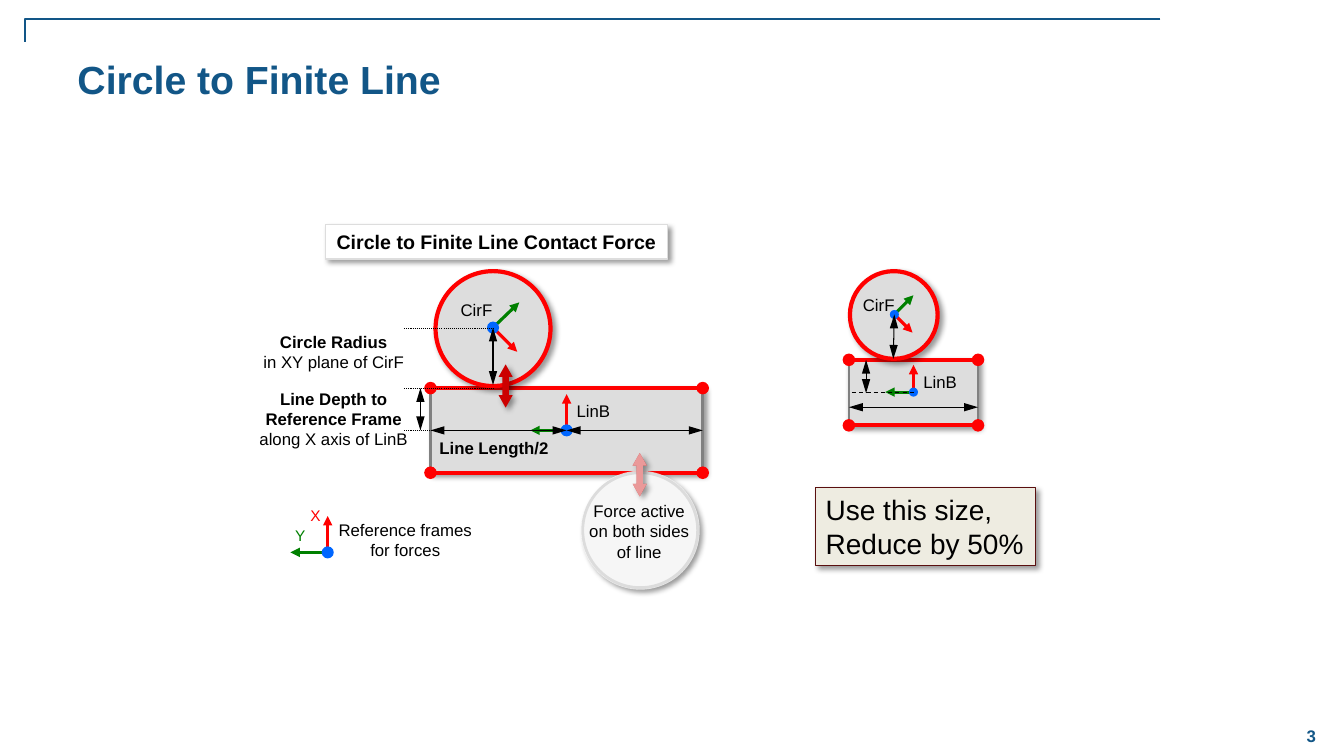
from pptx import Presentation
from pptx.dml.color import RGBColor
from pptx.enum.dml import MSO_LINE
from pptx.enum.shapes import MSO_CONNECTOR, MSO_SHAPE
from pptx.enum.text import MSO_ANCHOR, PP_ALIGN
from pptx.oxml import parse_xml
from pptx.oxml.ns import nsdecls, qn
from pptx.util import Emu, Pt

PX = 9144  # 100 px to the inch
WIDE, HIGH = 1333, 750
FACE = "Arial"

NAVY = RGBColor(0x12, 0x56, 0x87)
BLACK = RGBColor(0, 0, 0)
WHITE = RGBColor(255, 255, 255)
SILVER = RGBColor(0xDD, 0xDD, 0xDD)
GREY = RGBColor(0x80, 0x80, 0x80)
DIM = RGBColor(0x77, 0x77, 0x77)
RED = RGBColor(255, 0, 0)
DEEP = RGBColor(0xCC, 0, 0)
GREEN = RGBColor(0, 0x80, 0)
BLUE = RGBColor(0, 0x66, 255)
CREAM = RGBColor(0xEE, 0xEC, 0xE1)
MAROON = RGBColor(0x5A, 0x0F, 0x0F)

RECT, OVAL, ARROW = MSO_SHAPE.RECTANGLE, MSO_SHAPE.OVAL, MSO_SHAPE.LEFT_RIGHT_ARROW
STRAIGHT = MSO_CONNECTOR.STRAIGHT
DOT, DASH = MSO_LINE.ROUND_DOT, MSO_LINE.DASH
LEFT, MID = PP_ALIGN.LEFT, PP_ALIGN.CENTER
TOP, CENTER = MSO_ANCHOR.TOP, MSO_ANCHOR.MIDDLE

# Content: bars are (left, top, width, height), points are (x, y)
CORNER = [(1151, 19), (25, 19), (25, 42)]
LARGE = {
    "bar": (427, 385, 270, 84),
    "frame": ((562, 427), (562, 391), (526, 427), 6),
    "spans": [((697, 427), (562, 427)), ((427, 427), (562, 427))],
    "disc": (432, 269, 114),
    "push": (480, 376),
    "axes": ((489, 325), (513, 349), (515, 300), 6),
    "sizes": [((489, 325), (489, 382)), ((417, 427), (417, 385))],
}
SMALL = {
    "bar": (842, 357, 128, 65),
    "frame": ((906, 389), (906, 362), (878, 389), 4.5),
    "spans": [((842, 404), (970, 404))],
    "disc": (843, 269, 87),
    "push": None,
    "axes": ((887, 312), (905, 330), (906, 293), 4.5),
    "sizes": [((887, 312), (886, 356)), ((859, 390), (859, 357))],
}
KEY = ((325, 548), (325, 512), (288, 548), 6)
GUIDES = [326, 385, 427]

# Labels: box, lines, count of bold lines, then format values
LABELS = [
    ((244, 380, 174, 71), ["Line Depth to", "Reference Frame", "along X axis of LinB"], 2,
     {"align": MID, "anchor": CENTER}),
    ((426, 429, 130, 30), ["Line Length/2"], 1, {}),
    ((325, 511, 154, 50), ["Reference frames", "for forces"], 0, {"align": MID}),
    ((574, 492, 120, 71), ["Force active", "on both sides", "of line"], 0, {"align": MID}),
    ((562, 393, 54, 30), ["LinB"], 0, {}),
    ((447, 292, 52, 30), ["CirF"], 0, {}),
    ((298, 497, 31, 29), ["X"], 0, {"size": 11, "color": RED}),
    ((283, 517, 27, 29), ["Y"], 0, {"size": 11, "color": GREEN}),
    ((251, 324, 160, 50), ["Circle Radius", "in XY plane of CirF"], 1,
     {"align": MID, "anchor": CENTER}),
    ((906, 364, 54, 30), ["LinB"], 0, {}),
    ((846, 287, 52, 30), ["CirF"], 0, {}),
    ((67, 50, 1178, 108), ["Circle to Finite Line"], 1, {"size": 28, "color": NAVY}),
    ((1267, 709, 67, 42), ["3"], 1, {"color": NAVY, "align": MID, "anchor": CENTER}),
]
CARDS = [
    ((323, 223, 339, 34), WHITE, SILVER, ["Circle to Finite Line Contact Force"], 1,
     {"size": 14, "align": MID}),
    ((809, 484, 218, 77), CREAM, MAROON, ["Use this size,", "Reduce by 50%"], 0, {"size": 20}),
]

deck = Presentation()
deck.slide_width, deck.slide_height = Emu(WIDE * PX), Emu(HIGH * PX)
slide = deck.slides.add_slide(deck.slide_layouts[6])
root = slide.shapes


def emu(nums):
    return [Emu(round(n * PX)) for n in nums]


def write(shape, lines, bolds, size=12, color=BLACK, align=LEFT, anchor=TOP):
    text = shape.text_frame
    for name, value in {"word_wrap": False, "vertical_anchor": anchor}.items():
        setattr(text, name, value)
    para = text.paragraphs[0]
    para.alignment = align
    for i, line in enumerate(lines):
        if i:
            para.add_line_break()
        run = para.add_run()
        run.text = line
        for name, value in {"name": FACE, "size": Pt(size), "bold": i < bolds}.items():
            setattr(run.font, name, value)
        run.font.color.rgb = color


def draw(kind, box, fill, edge=None, width=0.75, shade=False, alpha=None, home=root):
    shape = home.add_shape(kind, *emu(box))
    shape.shadow.inherit = False
    shape.fill.solid()
    shape.fill.fore_color.rgb = fill
    props = shape._element.spPr
    if alpha:
        tint = parse_xml(f'<a:alpha {nsdecls("a")} val="{alpha * 1000}"/>')
        props.find(".//" + qn("a:srgbClr")).append(tint)
    if edge is None:
        shape.line.fill.background()
    else:
        shape.line.color.rgb = edge
        shape.line.width = Pt(width)
    if shade:
        props.find(qn("a:effectLst")).append(parse_xml(
            f'<a:outerShdw {nsdecls("a")} blurRad="{Pt(4)}" dist="{Pt(3)}" dir="2700000" '
            'algn="tl" rotWithShape="0"><a:srgbClr val="000000"><a:alpha val="40000"/>'
            '</a:srgbClr></a:outerShdw>'))
    return shape


def link(start, end, color=BLACK, width=0.75, head=None, tail=None, dash=None,
         long="med", home=root):
    line = home.add_connector(STRAIGHT, *emu(start + end))
    line.line.color.rgb = color
    line.line.width = Pt(width)
    if dash:
        line.line.dash_style = dash
    props = line._element.spPr
    for tag, kind in (("headEnd", head), ("tailEnd", tail)):
        if kind:
            props.get_or_add_ln().append(parse_xml(
                f'<a:{tag} {nsdecls("a")} type="{kind}" w="med" len="{long}"/>'))
    props.append(parse_xml(f'<a:effectLst {nsdecls("a")}/>'))


def span(start, end):
    link(start, end, head="triangle", tail="triangle", long="lg")


def frame(mid, xtip, ytip, rad):
    home = root.add_group_shape().shapes
    for tip, color in ((xtip, RED), (ytip, GREEN)):
        link(mid, tip, color, 2.25, tail="triangle", home=home)
    draw(OVAL, (mid[0] - rad, mid[1] - rad, 2 * rad, 2 * rad), BLUE, home=home)


def push(left, top, fill=DEEP, **look):
    shape = draw(ARROW, (left, top, 43, 14), fill, **look)
    shape.rotation = 90
    shape.adjustments[0], shape.adjustments[1] = 0.45, 0.89


def model(part):
    left, top, wide, high = part["bar"]
    draw(RECT, part["bar"], SILVER, GREY, 2, shade=True)
    frame(*part["frame"])
    for ends in part["spans"]:
        span(*ends)
    for y in (top, top + high):
        link((left, y), (left + wide, y), RED, 3, head="oval", tail="oval")
    x, y, size = part["disc"]
    draw(OVAL, (x, y, size, size), SILVER, RED, 3, shade=True)
    if part["push"]:
        push(*part["push"], shade=True)
    frame(*part["axes"])
    for ends in part["sizes"]:
        span(*ends)


# Corner rule
pen = root.build_freeform(*CORNER[0], scale=PX)
pen.add_line_segments(CORNER[1:], close=False)
rule = pen.convert_to_shape()
rule.shadow.inherit = False
rule.fill.background()
rule.line.color.rgb = NAVY
rule.line.width = Pt(1)

# Large model with the faded circle below
model(LARGE)
draw(OVAL, (578, 469, 114, 114), SILVER, DIM, 2, shade=True)
draw(OVAL, (576, 467, 118, 118), WHITE, alpha=75)
push(613, 464, shade=True)
push(613, 464, WHITE, alpha=60)
for y in GUIDES:
    link((401, y), (490, y), dash=DOT)
frame(*KEY)

# Small model
model(SMALL)
link((845, 389), (907, 389), dash=DASH)

# Cards and labels
for box, fill, edge, lines, bolds, look in CARDS:
    write(draw(RECT, box, fill, edge, shade=True), lines, bolds, **look)
for box, lines, bolds, look in LABELS:
    write(root.add_textbox(*emu(box)), lines, bolds, **look)

deck.save("out.pptx")
